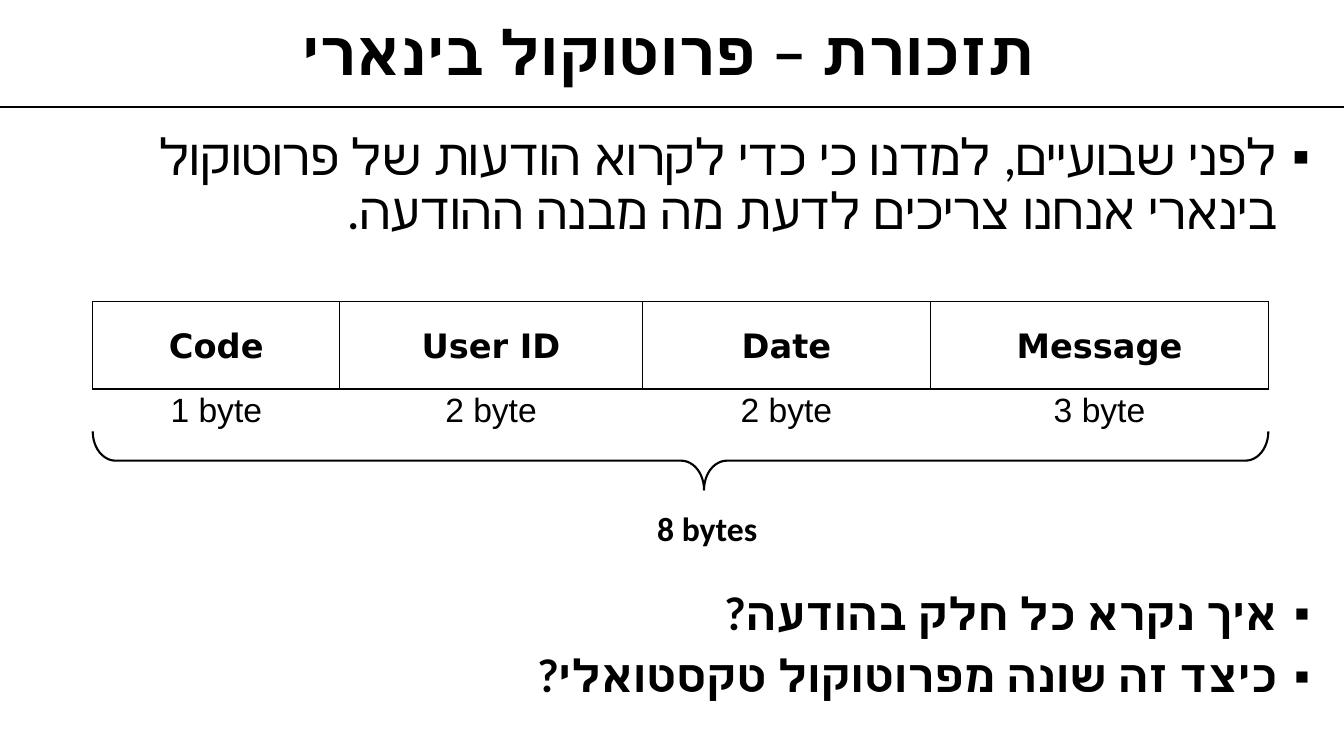
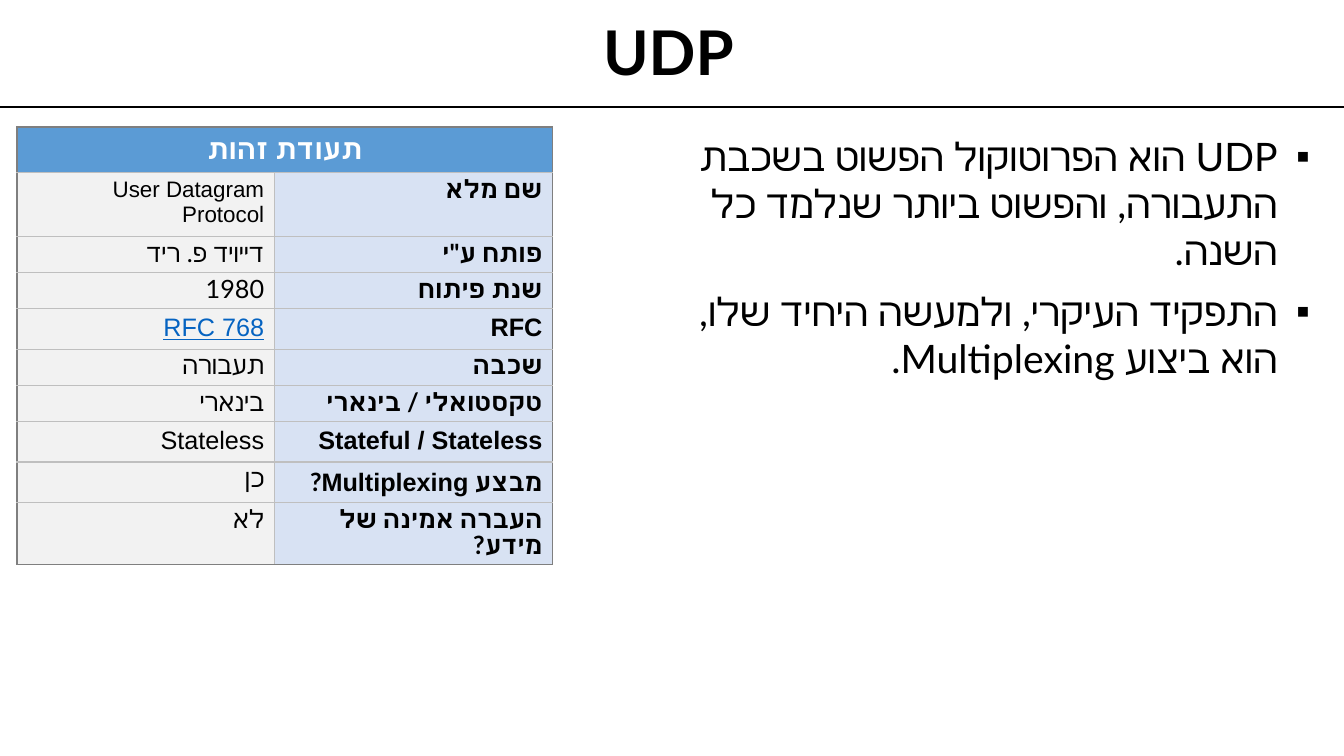
from lxml.etree import SubElement
from pptx import Presentation
from pptx.dml.color import RGBColor
from pptx.enum.shapes import MSO_CONNECTOR as Connector, MSO_SHAPE as Shape
from pptx.enum.text import MSO_ANCHOR as Anchor, PP_ALIGN as Align
from pptx.oxml.ns import qn
from pptx.util import Inches, Pt

BLACK, WHITE = "000000", "FFFFFF"
OUTER, INNER = "7F7F7F", "BFBFBF"
HEADER, LABEL, VALUE, LINK = "5B9BD5", "D8E2F3", "F2F2F2", "0563C1"
WIDTH, HEIGHT = 13.33, 7.5
BODY_LEFT, BODY_TOP, BODY_WIDTH = 0.17, 1.26, 12.92

FIELDS = [("Code", "1 byte", 2.45), ("User ID", "2 byte", 3),
          ("Date", "2 byte", 2.86), ("Message", "3 byte", 3.35)]
IDENTITY = [
    ("User Datagram Protocol", "שם מלא"),
    ("דייויד פ. ריד", "פותח ע\"י"),
    ("1980", "שנת פיתוח"),
    ("RFC 768", "RFC"),
    ("תעבורה", "שכבה"),
    ("בינארי", "טקסטואלי / בינארי"),
    ("Stateless", "Stateful / Stateless"),
    ("כן", "מבצע Multiplexing?"),
    ("לא", "העברה אמינה של מידע?"),
]


def colour(value):
    """Turn a hex string into a colour."""
    return RGBColor.from_string(value)


def style(para, size, font="Lato", color=BLACK, bold=False, align=Align.CENTER,
          spacing=1.0, rtl=False, bullet=False):
    """Set direction, bullet, spacing and font of one paragraph."""
    props = para._p.get_or_add_pPr()
    if rtl:
        props.set("rtl", "1")
    if bullet:
        props.set("marL", str(Inches(0.32)))
        props.set("indent", str(-Inches(0.32)))
        SubElement(SubElement(props, qn("a:buClr")), qn("a:srgbClr"), val=BLACK)
        SubElement(props, qn("a:buFont"), typeface="Arial")
        SubElement(props, qn("a:buChar"), char="▪")
    para.alignment = align
    para.line_spacing = spacing
    para.font.size = Pt(size)
    para.font.bold = bold
    para.font.name = font
    para.font.color.rgb = colour(color)
    if rtl:
        SubElement(props.find(qn("a:defRPr")), qn("a:cs"), typeface="Lato")


def add_text(page, left, top, width, height, lines, size, anchor=Anchor.TOP, **look):
    """Add a text box with one styled paragraph for each line."""
    box = page.shapes.add_textbox(*map(Inches, (left, top, width, height)))
    frame = box.text_frame
    frame.word_wrap = True
    frame.vertical_anchor = anchor
    for index, line in enumerate(lines):
        para = frame.add_paragraph() if index else frame.paragraphs[0]
        para.text = line
        style(para, size, **look)
        if index:
            para.space_before = Pt(10)


def add_bullets(page, top, height, lines, size, **look):
    """Add right-to-left bullets across the body area."""
    add_text(page, BODY_LEFT, top, BODY_WIDTH, height, lines, size,
             align=Align.RIGHT, rtl=True, bullet=True, **look)


def add_page(deck, title):
    """Add a blank page with the shared title and rule."""
    page = deck.slides.add_slide(deck.slide_layouts[6])
    rule = page.shapes.add_connector(Connector.STRAIGHT, 0, Inches(1.06),
                                     Inches(WIDTH), Inches(1.06))
    rule.line.color.rgb = colour(BLACK)
    rule.line.width = Pt(1)
    SubElement(rule._element.spPr, qn("a:effectLst"))
    add_text(page, 0, 0.04, 13.26, 1.02, [title], 44, anchor=Anchor.MIDDLE,
             bold=True, spacing=0.9, rtl=True)
    return page


def add_grid(page, left, top, columns, rows):
    """Add an unbanded table with the given column widths and row heights."""
    frame = page.shapes.add_table(len(rows), len(columns),
                                  *map(Inches, (left, top, sum(columns), sum(rows))))
    table = frame.table
    table.first_row = table.horz_banding = False
    for column, width in zip(table.columns, columns):
        column.width = Inches(width)
    for row, height in zip(table.rows, rows):
        row.height = Inches(height)
    return table


def paint(cell, borders, fill=None):
    """Set cell borders, ordered left, right, top, bottom, and the fill."""
    props = cell._tc.get_or_add_tcPr()
    for side, border in zip("LRTB", borders):
        color, width = border or (None, 0)
        line = SubElement(props, qn("a:ln" + side), w=str(Pt(width)))
        if color:
            SubElement(SubElement(line, qn("a:solidFill")), qn("a:srgbClr"), val=color)
        else:
            SubElement(line, qn("a:noFill"))
    if fill:
        cell.fill.solid()
        cell.fill.fore_color.rgb = colour(fill)
    else:
        cell.fill.background()


def write(cell, text, size, **look):
    """Put one styled paragraph in a cell."""
    para = cell.text_frame.paragraphs[0]
    para.text = text
    style(para, size, **look)


def add_message_layout(page, left, top):
    """Draw the message fields, their sizes and the brace with the total."""
    columns = [width for _, _, width in FIELDS]
    total = sum(columns)
    table = add_grid(page, left, top, columns, [0.87, 0.69])
    edge = (BLACK, 1)
    for column, (name, length, _) in enumerate(FIELDS):
        head, foot = table.cell(0, column), table.cell(1, column)
        paint(head, [edge] * 4)
        paint(foot, [None, None, edge, None])
        for cell in (head, foot):
            cell.margin_left = cell.margin_right = Inches(0.07)
            cell.margin_top = cell.margin_bottom = 0
        head.vertical_anchor = Anchor.MIDDLE
        write(head, name, 24, font="DejaVu Sans", bold=True, spacing=1.07)
        write(foot, length, 24, font="Arial", spacing=1.07)

    depth = 0.58
    brace = page.shapes.add_shape(
        Shape.LEFT_BRACE, Inches(left + (total - depth) / 2),
        Inches(top + 1.58 - total / 2), Inches(depth), Inches(total))
    brace.rotation = 270
    brace.adjustments[0], brace.adjustments[1] = 0.39, 0.52
    brace.shadow.inherit = False
    brace.fill.background()
    brace.line.color.rgb = colour(BLACK)
    brace.line.width = Pt(1.5)
    add_text(page, left + 0.38, top + 2.07, 11.43, 0.35, ["8 bytes"], 24,
             anchor=Anchor.MIDDLE, font="Calibri", bold=True)


def add_identity_card(page, left, top):
    """Draw the table of protocol facts, values left and labels right."""
    last = len(IDENTITY)
    table = add_grid(page, left, top, [2.55, 2.76], [0.45] + [0.36] * (last - 1) + [0.5])
    outer, inner = (OUTER, 1.5), (INNER, 1)
    title = table.cell(0, 0)
    title.merge(table.cell(0, 1))
    for column in range(2):
        paint(table.cell(0, column), [outer, outer, outer, inner], HEADER)
    write(title, "תעודת זהות", 20, font="Arial", color=WHITE, bold=True, rtl=True)
    for row, texts in enumerate(IDENTITY, 1):
        bottom = outer if row == last else inner
        for column, text in enumerate(texts):
            cell = table.cell(row, column)
            is_label = column == 1
            sides = [inner, outer] if is_label else [outer, inner]
            paint(cell, sides + [inner, bottom], LABEL if is_label else VALUE)
            is_link = text == "RFC 768"
            has_latin = any(char.isascii() and char.isalpha() for char in text)
            write(cell, text, 16 if (row, column) == (1, 0) else 18, font="Arial",
                  color=LINK if is_link else BLACK, bold=is_label, align=Align.RIGHT,
                  spacing=1.0 if has_latin else 0.86, rtl=True)
            if is_link:
                cell.text_frame.paragraphs[0].font.underline = True


def build_reminder(deck):
    """Build the page on the binary protocol."""
    page = add_page(deck, "תזכורת – פרוטוקול בינארי")
    add_bullets(page, BODY_TOP, 1.3, [
        "לפני שבועיים, למדנו כי כדי לקרוא הודעות של פרוטוקול בינארי "
        "אנחנו צריכים לדעת מה מבנה ההודעה."], 36, spacing=0.9)
    add_message_layout(page, 0.92, 2.99)
    add_bullets(page, 5.82, 1.3, ["איך נקרא כל חלק בהודעה?",
                                  "כיצד זה שונה מפרוטוקול טקסטואלי?"],
                32, bold=True, spacing=0.9)


def build_udp(deck):
    """Build the page on UDP."""
    page = add_page(deck, "UDP")
    add_bullets(page, BODY_TOP, 6.09, [
        "UDP הוא הפרוטוקול הפשוט בשכבת\vהתעבורה, והפשוט ביותר שנלמד כל\vהשנה.",
        "התפקיד העיקרי, ולמעשה היחיד שלו,\vהוא ביצוע Multiplexing."], 28)
    add_identity_card(page, BODY_LEFT, BODY_TOP)


def main():
    """Build and save the deck."""
    deck = Presentation()
    deck.slide_width, deck.slide_height = Inches(WIDTH), Inches(HEIGHT)
    build_reminder(deck)
    build_udp(deck)
    deck.save("out.pptx")


if __name__ == "__main__":
    main()
